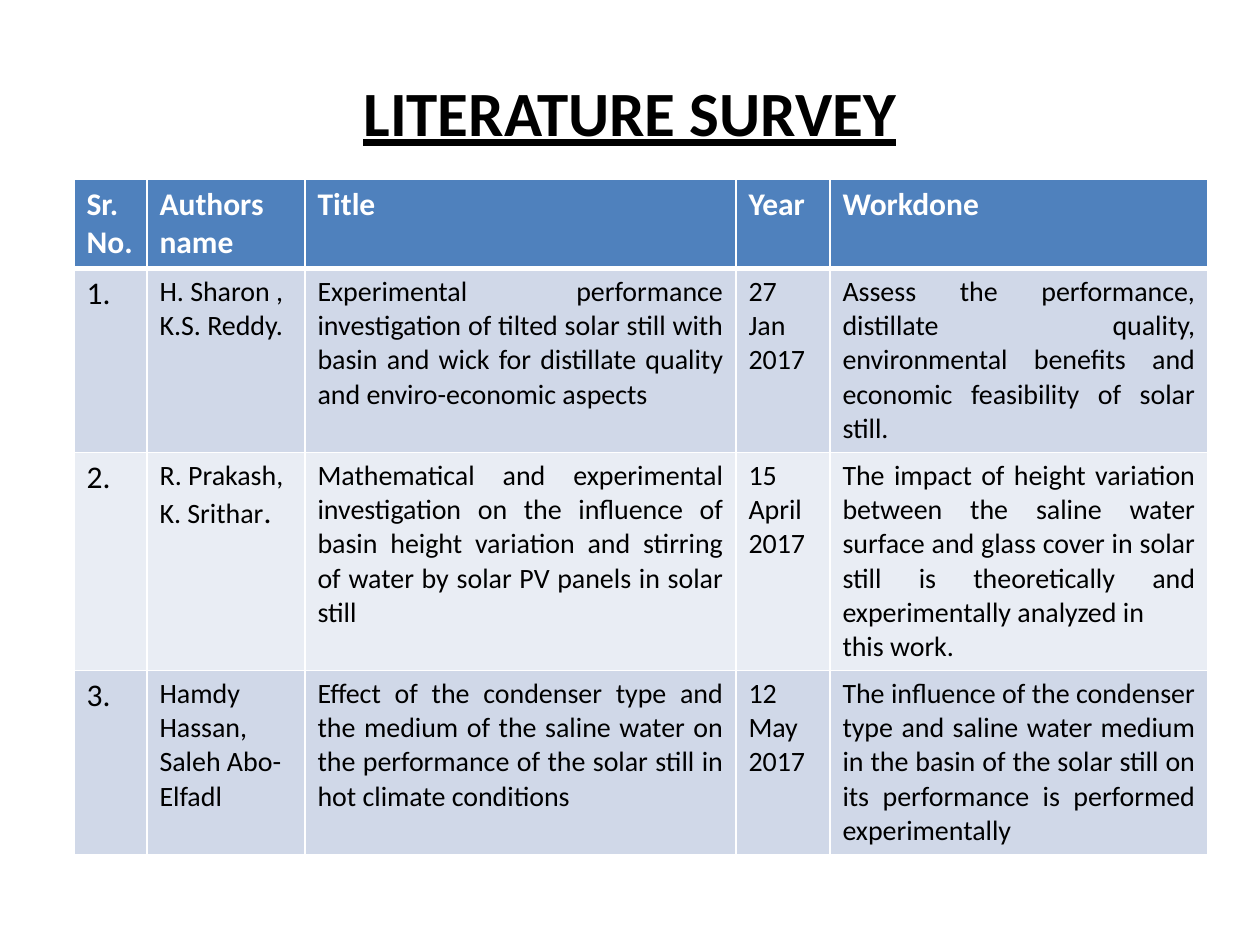
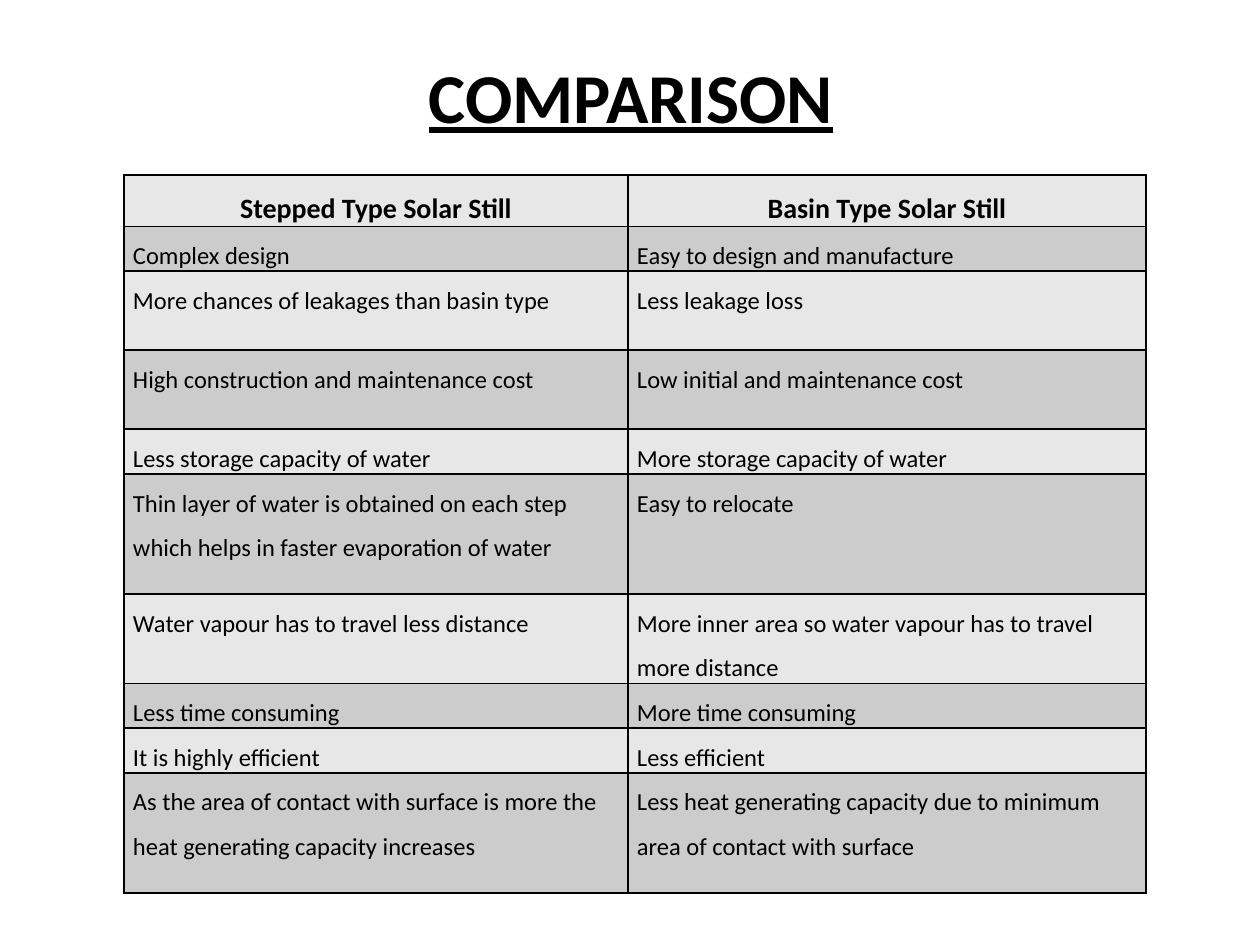
from lxml import etree
from pptx import Presentation
from pptx.dml.color import RGBColor
from pptx.enum.text import MSO_ANCHOR, PP_ALIGN
from pptx.oxml.ns import qn
from pptx.util import Pt

LEFT, CENTER, JUSTIFY = PP_ALIGN.LEFT, PP_ALIGN.CENTER, PP_ALIGN.JUSTIFY
MIDDLE = MSO_ANCHOR.MIDDLE

FONT = "Calibri"
BLACK = RGBColor(0x00, 0x00, 0x00)
WHITE = RGBColor(0xFF, 0xFF, 0xFF)
BLUE = RGBColor(0x4F, 0x81, 0xBD)
BLUE_BANDS = RGBColor(0xD0, 0xD8, 0xE8), RGBColor(0xE9, 0xED, 0xF4)
LIGHT_GRAY = RGBColor(0xE7, 0xE7, 0xE7)
GRAY_BANDS = RGBColor(0xCC, 0xCC, 0xCC), LIGHT_GRAY

PX = 914400 / 126
TITLE_SIZE = 1134, 158

# Content: a cell is a string, or a list of (text, size) spans; \n starts a paragraph
SURVEY = [
    ("Sr.No.", "Authors name", "Title", "Year", "Workdone"),
    ("1.", "H. Sharon , K.S. Reddy.",
     "Experimental performance investigation of tilted solar still with basin and wick "
     "for distillate quality and enviro-economic aspects",
     "27 Jan 2017",
     "Assess the performance, distillate quality, environmental benefits and economic "
     "feasibility of solar still."),
    ("2.", [("R. Prakash, K. Srithar", 16), (".", 18)],
     "Mathematical and experimental investigation on the influence of basin height "
     "variation and stirring of water by solar PV panels in solar still",
     "15 April 2017",
     "The impact of height variation between the saline water surface and glass cover in "
     "solar still is theoretically and experimentally analyzed in\nthis work."),
    ("3.", "Hamdy Hassan, Saleh Abo-Elfadl",
     "Effect of the condenser type and the medium of the saline water on the performance "
     "of the solar still in hot climate conditions",
     "12 May 2017",
     "The influence of the condenser type and saline water medium in the basin of the "
     "solar still on its performance is performed experimentally"),
]
SURVEY_COLUMNS = [73, 158, 431, 94, 378]
SURVEY_ROWS = [88, 184, 218, 184]
SURVEY_ALIGNS = [LEFT, LEFT, JUSTIFY, LEFT, JUSTIFY]

COMPARISON = [
    ("Stepped Type Solar Still", "Basin Type Solar Still"),
    ("Complex design", "Easy to design and manufacture"),
    ("More chances of leakages than basin type", "Less leakage loss"),
    ("High construction and maintenance cost", "Low initial and maintenance cost"),
    ("Less storage capacity of water", "More storage capacity of water"),
    ("Thin layer of water is obtained on each step which helps in faster evaporation of water",
     "Easy to relocate"),
    ("Water vapour has to travel less distance",
     "More inner area so water vapour has to travel more distance"),
    ("Less time consuming", "More time consuming"),
    ("It is highly efficient", "Less efficient"),
    ("As the area of contact with surface is more the heat generating capacity increases",
     "Less heat generating capacity due to minimum area of contact with surface"),
]
COMPARISON_COLUMNS = [504, 518]
COMPARISON_ROWS = [51, 44, 79, 79, 44, 120, 89, 44, 44, 120]


def px(length):
    return round(length * PX)


def write(frame, content, size, color=BLACK, bold=False, underline=False,
          align=LEFT, line_spacing=None):
    """Fill a text frame with a string or a list of (text, size) spans."""
    if isinstance(content, str):
        paragraphs = [[(line, size)] for line in content.split("\n")]
    else:
        paragraphs = [content]
    for index, spans in enumerate(paragraphs):
        para = frame.add_paragraph() if index else frame.paragraphs[0]
        para.alignment = align
        if line_spacing:
            para.line_spacing = line_spacing
        for text, span_size in spans:
            span = para.add_run()
            span.text = text
            font = span.font
            font.name, font.size = FONT, Pt(span_size)
            font.bold, font.underline = bold, underline
            font.color.rgb = color


def set_borders(cell, color, widths):
    """Draw the cell's borders; widths maps L, R, T, B to points."""
    properties = cell._tc.get_or_add_tcPr()
    for side, width in widths.items():
        line = etree.SubElement(properties, qn(f"a:ln{side}"), w=str(Pt(width)))
        fill = etree.SubElement(line, qn("a:solidFill"))
        etree.SubElement(fill, qn("a:srgbClr"), val=str(color))


def add_titled_page(deck, title, left, top, size):
    page = deck.slides.add_slide(deck.slide_layouts[5])
    box = page.shapes.title
    box.left, box.top = px(left), px(top)
    box.width, box.height = map(px, TITLE_SIZE)
    box.text_frame.vertical_anchor = MIDDLE
    write(box.text_frame, title, size, bold=True, underline=True, align=CENTER)
    return page


def add_grid(page, left, top, columns, heights, rows, bands, header_fill,
             border, header_rule, margin, style):
    """Add a banded table; style(row, column) gives each cell's text format."""
    frame = page.shapes.add_table(len(rows), len(columns), px(left), px(top),
                                  px(sum(columns)), px(sum(heights)))
    table = frame.table
    for column, width in zip(table.columns, columns):
        column.width = px(width)
    for row, height in zip(table.rows, heights):
        row.height = px(height)
    for r, row in enumerate(rows):
        # The rule under the header belongs to both rows it touches
        widths = {"L": 1, "R": 1, "T": header_rule if r == 1 else 1,
                  "B": header_rule if r == 0 else 1}
        for c, content in enumerate(row):
            cell = table.cell(r, c)
            set_borders(cell, border, widths)
            cell.fill.solid()
            cell.fill.fore_color.rgb = bands[(r - 1) % 2] if r else header_fill
            if margin:
                cell.margin_left = cell.margin_right = px(margin)
                cell.margin_top = cell.margin_bottom = 0
            write(cell.text_frame, content, **style(r, c))


def survey_style(row, column):
    header = row == 0
    return {"size": 18 if header or column == 0 else 16, "bold": header,
            "color": WHITE if header else BLACK, "align": SURVEY_ALIGNS[column]}


def comparison_style(row, column):
    header = row == 0
    return {"size": 16 if header else 14, "bold": header,
            "align": CENTER if header else LEFT, "line_spacing": 1.5}


def main():
    deck = Presentation()
    deck.slide_width, deck.slide_height = px(1260), px(945)

    # Literature survey
    page = add_titled_page(deck, "LITERATURE SURVEY", 63, 32, size=36)
    add_grid(page, 74, 179, SURVEY_COLUMNS, SURVEY_ROWS, SURVEY, BLUE_BANDS, BLUE,
             border=WHITE, header_rule=3, margin=None, style=survey_style)

    # Comparison of the two stills
    page = add_titled_page(deck, "COMPARISON", 64, 16, size=40)
    add_grid(page, 124, 175, COMPARISON_COLUMNS, COMPARISON_ROWS, COMPARISON, GRAY_BANDS,
             LIGHT_GRAY, border=BLACK, header_rule=1, margin=9, style=comparison_style)

    deck.save("out.pptx")


if __name__ == "__main__":
    main()
